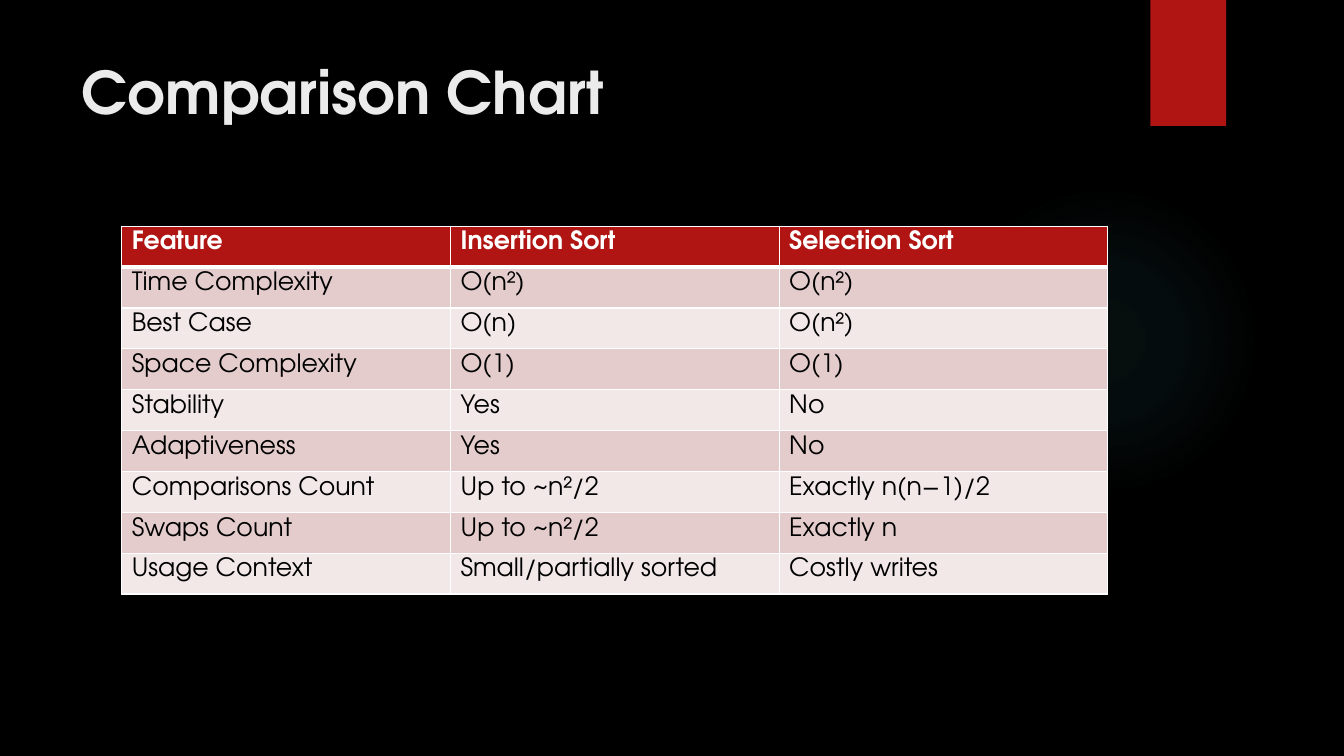
from dataclasses import dataclass

from lxml import etree
from pptx import Presentation
from pptx.dml.color import RGBColor
from pptx.enum.shapes import MSO_SHAPE
from pptx.enum.text import MSO_ANCHOR, PP_ALIGN
from pptx.oxml.ns import qn
from pptx.util import Emu, Inches, Pt

ELLIPSE, RECTANGLE = MSO_SHAPE.OVAL, MSO_SHAPE.RECTANGLE
TOP, LEFT = MSO_ANCHOR.TOP, PP_ALIGN.LEFT
TITLE_ONLY = 5
SLIDE_WIDTH, SLIDE_HEIGHT = Inches(13.33), Inches(7.5)


@dataclass(frozen=True)
class Theme:
    font: str = "TeX Gyre Adventor"
    background: str = "000000"
    title: str = "EBEBEB"
    accent: str = "B01513"
    glow: str = "50B9C1"
    header_text: str = "FFFFFF"
    body_text: str = "000000"
    border: str = "FFFFFF"
    bands: tuple[str, str] = ("E4CCCC", "F2E8E7")
    title_size: int = 42
    table_size: int = 18


@dataclass(frozen=True)
class Comparison:
    feature: str
    insertion: str
    selection: str

    def texts(self) -> tuple[str, str, str]:
        return self.feature, self.insertion, self.selection


@dataclass(frozen=True)
class Area:
    """A rectangle in shares of the slide's width and height."""
    left: float
    top: float
    width: float
    height: float

    def box(self) -> tuple[Emu, Emu, Emu, Emu]:
        return (Emu(round(self.left * SLIDE_WIDTH)), Emu(round(self.top * SLIDE_HEIGHT)),
                Emu(round(self.width * SLIDE_WIDTH)), Emu(round(self.height * SLIDE_HEIGHT)))


THEME = Theme()
GLOW_AREA = Area(0.706, 0.244, 0.231, 0.411)
RIBBON_AREA = Area(0.856, 0, 0.0563, 1 / 6)
TITLE_AREA = Area(0.0533, 0.0667, 0.772, 0.204)
TABLE_AREA = Area(0.0906, 0.2992, 0.7337, 0.4867)
GLOW_STOPS = ((0, 7), (36, 6), (69, 0))

COMPARISONS = (
    Comparison("Feature", "Insertion Sort", "Selection Sort"),
    Comparison("Time Complexity", "O(n²)", "O(n²)"),
    Comparison("Best Case", "O(n)", "O(n²)"),
    Comparison("Space Complexity", "O(1)", "O(1)"),
    Comparison("Stability", "Yes", "No"),
    Comparison("Adaptiveness", "Yes", "No"),
    Comparison("Comparisons Count", "Up to ~n²/2", "Exactly n(n−1)/2"),
    Comparison("Swaps Count", "Up to ~n²/2", "Exactly n"),
    Comparison("Usage Context", "Small/partially sorted", "Costly writes"),
)


def write(frame, text: str, size: int, color: str, bold: bool) -> None:
    paragraph = frame.paragraphs[0]
    paragraph.alignment = LEFT
    paragraph.line_spacing = 1.0
    run = paragraph.add_run()
    run.text = text
    run.font.name = THEME.font
    run.font.size = Pt(size)
    run.font.bold = bold
    run.font.color.rgb = RGBColor.from_string(color)


def add_plain_shape(slide, preset, area: Area, color: str):
    shape = slide.shapes.add_shape(preset, *area.box())
    shape.shadow.inherit = False
    shape.fill.solid()
    shape.fill.fore_color.rgb = RGBColor.from_string(color)
    shape.line.fill.background()
    return shape


def add_glow(slide) -> None:
    """Draw the ellipse that fades from its centre to full transparency."""
    glow = add_plain_shape(slide, ELLIPSE, GLOW_AREA, THEME.glow)
    properties = glow.element.spPr
    gradient = etree.Element(qn("a:gradFill"))
    stops = etree.SubElement(gradient, qn("a:gsLst"))
    for position, opacity in GLOW_STOPS:
        stop = etree.SubElement(stops, qn("a:gs"), pos=str(position * 1000))
        color = etree.SubElement(stop, qn("a:srgbClr"), val=THEME.glow)
        etree.SubElement(color, qn("a:alpha"), val=str(opacity * 1000))
    circle = etree.SubElement(gradient, qn("a:path"), path="circle")
    etree.SubElement(circle, qn("a:fillToRect"), l="50000", t="50000", r="50000", b="50000")
    properties.replace(properties.find(qn("a:solidFill")), gradient)


def add_title(slide) -> None:
    title = slide.shapes.title
    title.left, title.top, title.width, title.height = TITLE_AREA.box()
    title.text_frame.vertical_anchor = TOP
    title.text_frame.word_wrap = True
    write(title.text_frame, "Comparison Chart", THEME.title_size, THEME.title, True)


def set_borders(cell, bottom: int, top: int) -> None:
    """Outline a cell; top and bottom are line widths in points."""
    properties = cell._tc.get_or_add_tcPr()
    for index, (side, width) in enumerate((("L", 1), ("R", 1), ("T", top), ("B", bottom))):
        line = etree.Element(qn(f"a:ln{side}"), w=str(Pt(width)))
        fill = etree.SubElement(line, qn("a:solidFill"))
        etree.SubElement(fill, qn("a:srgbClr"), val=THEME.border)
        properties.insert(index, line)


def add_comparison_table(slide) -> None:
    table = slide.shapes.add_table(len(COMPARISONS), 3, *TABLE_AREA.box()).table
    for row, comparison in enumerate(COMPARISONS):
        header = row == 0
        fill = THEME.accent if header else THEME.bands[(row - 1) % 2]
        color = THEME.header_text if header else THEME.body_text
        for column, text in enumerate(comparison.texts()):
            cell = table.cell(row, column)
            cell.vertical_anchor = TOP
            cell.fill.solid()
            cell.fill.fore_color.rgb = RGBColor.from_string(fill)
            set_borders(cell, bottom=3 if header else 1, top=3 if row == 1 else 1)
            write(cell.text_frame, text, THEME.table_size, color, header)


def main() -> None:
    deck = Presentation()
    deck.slide_width, deck.slide_height = SLIDE_WIDTH, SLIDE_HEIGHT
    slide = deck.slides.add_slide(deck.slide_layouts[TITLE_ONLY])
    slide.background.fill.solid()
    slide.background.fill.fore_color.rgb = RGBColor.from_string(THEME.background)
    add_glow(slide)
    add_plain_shape(slide, RECTANGLE, RIBBON_AREA, THEME.accent)
    add_title(slide)
    add_comparison_table(slide)
    deck.save("out.pptx")


if __name__ == "__main__":
    main()
